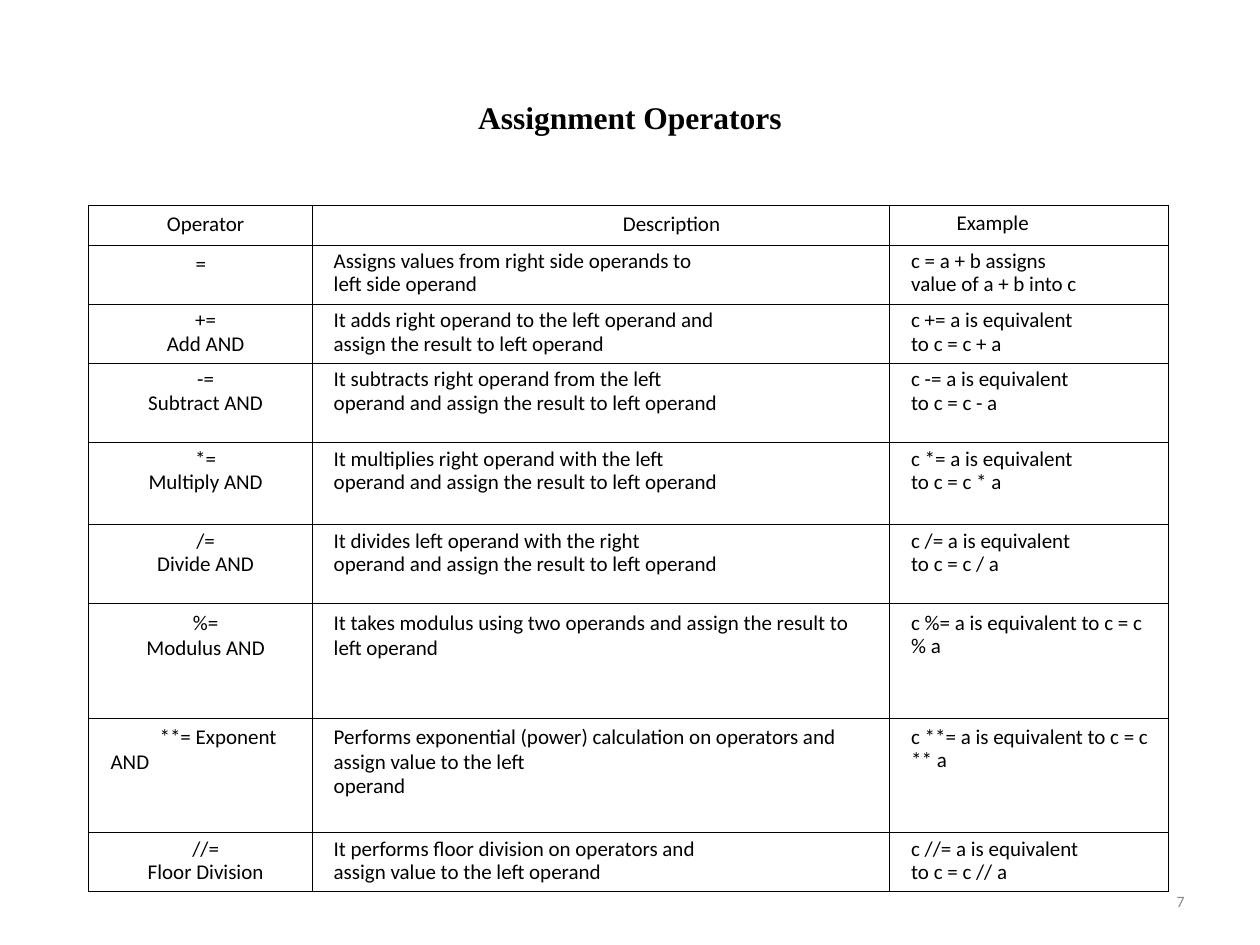
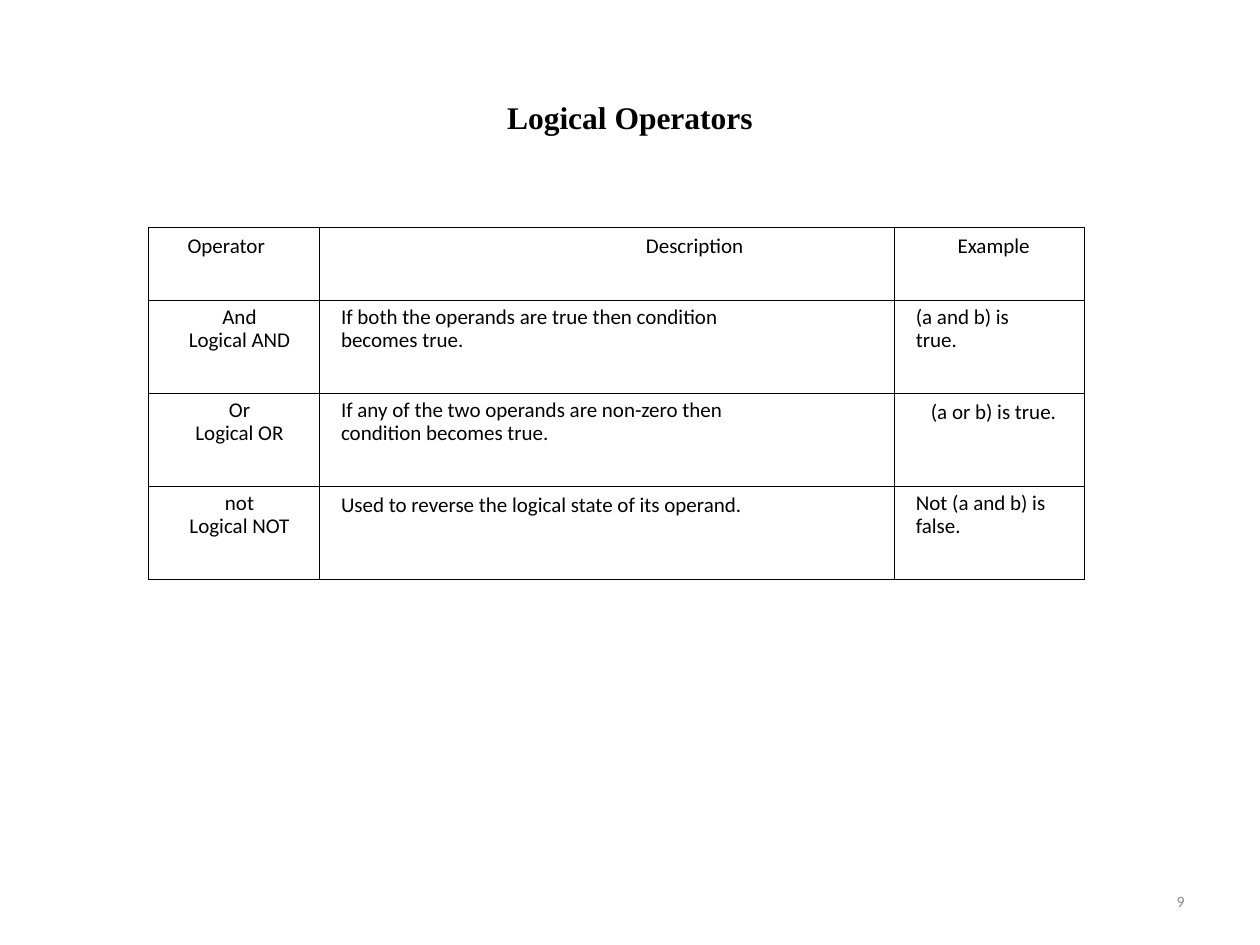
import pptx
import pptx.util
import pptx.dml.color
import pptx.enum.text
import pptx.oxml.ns
from lxml import etree

Pt = pptx.util.Pt
RGB = pptx.dml.color.RGBColor.from_string
ALIGN = pptx.enum.text.PP_ALIGN
MIDDLE = pptx.enum.text.MSO_ANCHOR.MIDDLE

# Content: a cell is its text, or its text with the format values that differ
NATURAL = {"leads": (None, None)}
NATURAL_FIRST = {"leads": (None, 13.2)}
LOOSE_FIRST = {"leads": (13.5, 13.2)}

SLIDES = [
    {
        "title": "Assignment Operators",
        "number": "7",
        "at": (50.5, 117.5),
        "cols": (128, 330, 159),
        "rows": (22.5, 33.7, 33.7, 45.3, 46.8, 45.5, 65.3, 65.5, 33.7),
        "cells": [
            [("Operator", {"before": 0.7}),
             ("Description", {"before": 0.7, "align": ALIGN.CENTER, "left": 80.5}),
             ("Example", {"before": 0, "left": 31, "leads": (13.8,)})],
            [("=", {"left": 0.5}),
             "Assigns values from right side operands to\nleft side operand",
             "c = a + b assigns\nvalue of a + b into c"],
            ["+=\nAdd AND",
             "It adds right operand to the left operand and\n"
             "assign the result to left operand",
             "c += a is equivalent\nto c = c + a"],
            ["-=\nSubtract AND",
             "It subtracts right operand from the left\n"
             "operand and assign the result to left operand",
             "c -= a is equivalent\nto c = c - a"],
            [("*=\nMultiply AND", LOOSE_FIRST),
             ("It multiplies right operand with the left\n"
              "operand and assign the result to left operand", LOOSE_FIRST),
             ("c *= a is equivalent\nto c = c * a", LOOSE_FIRST)],
            ["/=\nDivide AND",
             "It divides left operand with the right\n"
             "operand and assign the result to left operand",
             "c /= a is equivalent\nto c = c / a"],
            [("%=\nModulus AND", NATURAL),
             "It takes modulus using two operands and assign the result to left operand",
             ("c %= a is equivalent to c = c\n% a", NATURAL_FIRST)],
            [("**= Exponent AND", {"align": ALIGN.LEFT, "left": 5.5, "first": 28}),
             ("Performs exponential (power) calculation on operators and "
              "assign value to the left\noperand", NATURAL_FIRST),
             ("c **= a is equivalent to c = c\n** a", NATURAL_FIRST)],
            ["//=\nFloor Division",
             "It performs floor division on operators and\n"
             "assign value to the left operand",
             "c //= a is equivalent\nto c = c // a"],
        ],
    },
    {
        "title": "Logical Operators",
        "number": "9",
        "at": (85, 130),
        "cols": (97.7, 328.5, 108.7),
        "rows": (41.7, 53.2, 53.2, 53.2),
        "cells": [
            [("Operator", {"before": 3.6, "align": ALIGN.LEFT, "left": 15}),
             ("Description", {"before": 3.6, "align": ALIGN.CENTER, "left": 100}),
             ("Example", {"before": 3.6, "align": ALIGN.CENTER, "left": 4.5})],
            ["And\nLogical AND",
             "If both the operands are true then condition\nbecomes true.",
             "(a and b) is\ntrue."],
            ["Or\nLogical OR",
             "If any of the two operands are non-zero then\ncondition becomes true.",
             ("(a or b) is true.", {"align": ALIGN.CENTER, "left": 4.5})],
            ["not\nLogical NOT",
             "Used to reverse the logical state of its operand.",
             "Not (a and b) is\nfalse."],
        ],
    },
]

# Theme
THEME = {
    "title": {"name": "Times New Roman", "size": Pt(18), "bold": True, "color": "000000"},
    "cell": {"name": "Calibri", "size": Pt(12), "bold": False, "color": "000000"},
    "number": {"name": "Calibri", "size": Pt(9), "bold": False, "color": "898989"},
    "border": {"width": Pt(0.45), "color": "000000"},
}
TITLE_BOX = (36, 21.6, 648, 90)
NUMBER_BOX = (516, 500.4, 168, 28.8)
COLUMN_FORMATS = (
    {"align": ALIGN.CENTER, "left": 6},
    {"align": ALIGN.LEFT, "left": 5},
    {"align": ALIGN.LEFT, "left": 5},
)


def set_all(obj, values):
    for name, value in values.items():
        setattr(obj, name, value)


def place(shape, box):
    set_all(shape, dict(zip(("left", "top", "width", "height"), map(Pt, box))))


def write(p, text, style):
    r = p.add_run()
    r.text = text
    set_all(r.font, {k: v for k, v in style.items() if k != "color"})
    r.font.color.rgb = RGB(style["color"])


def write_line(tf, text, style, align):
    set_all(tf, {"word_wrap": True, "vertical_anchor": MIDDLE})
    p = tf.paragraphs[0]
    p.alignment = align
    write(p, text, style)


def add_borders(cell):
    tc_pr = cell._tc.get_or_add_tcPr()
    qn = pptx.oxml.ns.qn
    for side in ("a:lnL", "a:lnR", "a:lnT", "a:lnB"):
        ln = etree.SubElement(tc_pr, qn(side), w=str(int(THEME["border"]["width"])))
        fill = etree.SubElement(ln, qn("a:solidFill"))
        etree.SubElement(fill, qn("a:srgbClr"), val=THEME["border"]["color"])


def fill_cell(cell, content, column_format):
    text, changes = content if isinstance(content, tuple) else (content, {})
    lines = text.split("\n")
    single = len(lines) == 1
    fmt = {"before": 6.5 if single else 0, "first": 0,
           "leads": (None,) if single else (13.3, 13.2),
           **column_format, **changes}
    tf = cell.text_frame
    for i, (line, lead) in enumerate(zip(lines, fmt["leads"])):
        p = tf.add_paragraph() if i else tf.paragraphs[0]
        set_all(p, {"alignment": fmt["align"],
                    "space_before": Pt(0 if i else fmt["before"]),
                    "line_spacing": Pt(lead) if lead else None})
        p_pr = p._p.get_or_add_pPr()
        p_pr.set("marL", str(int(Pt(fmt["left"]))))
        p_pr.set("indent", str(int(Pt(fmt["first"]))))
        write(p, line, THEME["cell"])
    add_borders(cell)
    cell.fill.background()


def add_operator_table(s, spec):
    rows, cols = spec["rows"], spec["cols"]
    box = (*spec["at"], sum(cols), sum(rows))
    table = s.shapes.add_table(len(rows), len(cols), *map(Pt, box)).table
    set_all(table, {"first_row": False, "horz_banding": False})
    for column, width in zip(table.columns, cols):
        column.width = Pt(width)
    for row, height, contents in zip(table.rows, rows, spec["cells"]):
        row.height = Pt(height)
        for cell, content, column_format in zip(row.cells, contents, COLUMN_FORMATS):
            fill_cell(cell, content, column_format)


def add_slide(prs, spec):
    s = prs.slides.add_slide(prs.slide_layouts[5])
    # Title
    place(s.shapes.title, TITLE_BOX)
    write_line(s.shapes.title.text_frame, spec["title"], THEME["title"], ALIGN.CENTER)
    # Table of operators
    add_operator_table(s, spec)
    # Slide number
    number = s.shapes.add_textbox(*map(Pt, NUMBER_BOX))
    write_line(number.text_frame, spec["number"], THEME["number"], ALIGN.RIGHT)


def main():
    prs = pptx.Presentation()
    set_all(prs, {"slide_width": Pt(720), "slide_height": Pt(540)})
    for spec in SLIDES:
        add_slide(prs, spec)
    prs.save("out.pptx")


if __name__ == "__main__":
    main()
